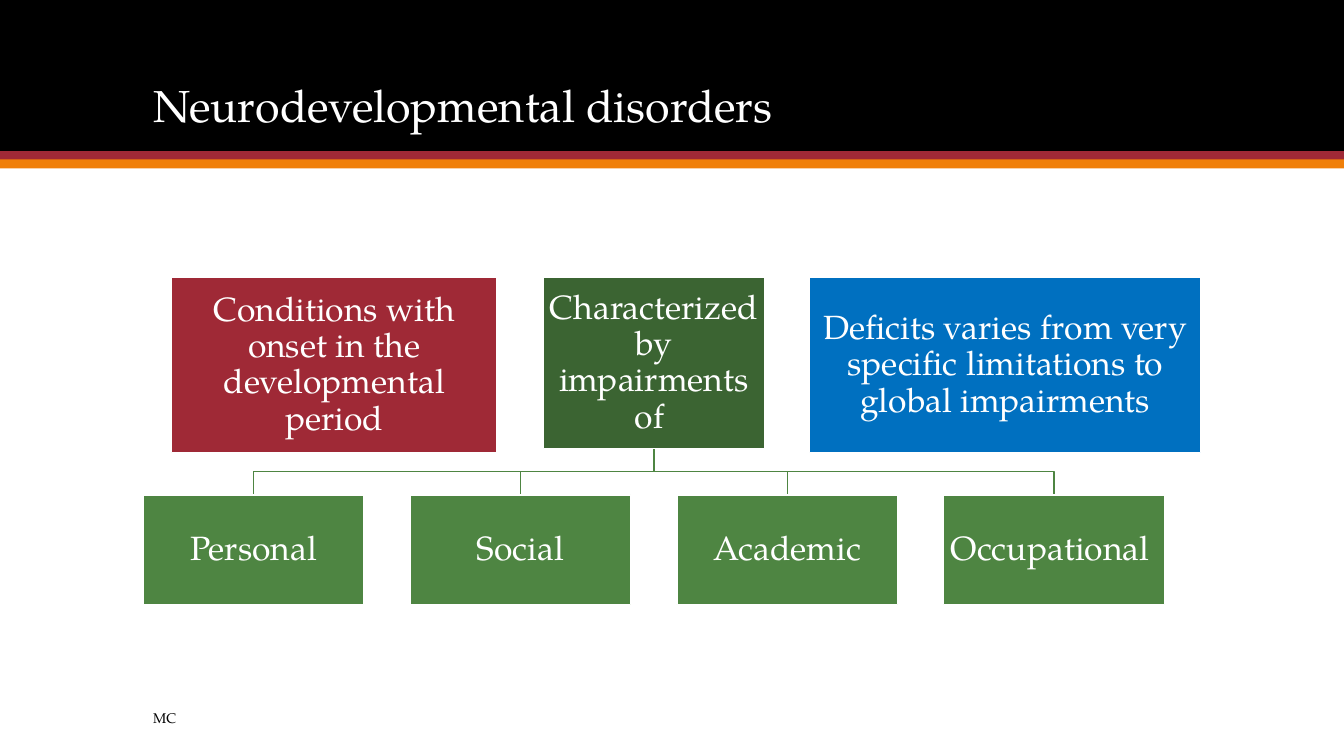
import pptx
import pptx.dml.color
import pptx.enum.shapes
import pptx.enum.text
import pptx.util

Inches = pptx.util.Inches
RGBColor = pptx.dml.color.RGBColor
RECTANGLE = pptx.enum.shapes.MSO_SHAPE.RECTANGLE
ANCHOR = pptx.enum.text.MSO_ANCHOR
ALIGN = pptx.enum.text.PP_ALIGN

BLACK = RGBColor(0x00, 0x00, 0x00)
WHITE = RGBColor(0xFF, 0xFF, 0xFF)
RED = RGBColor(0x9F, 0x29, 0x36)
ORANGE = RGBColor(0xF0, 0x7F, 0x09)
DARK_GREEN = RGBColor(0x3B, 0x64, 0x32)
GREEN = RGBColor(0x4E, 0x85, 0x42)
BLUE = RGBColor(0x00, 0x70, 0xC0)
FONT = "TeX Gyre Pagella"


def apply_format(target, values):
    """Set each named attribute on the target."""
    for name, value in values.items():
        setattr(target, name, value)


def write_text(shape, text, size, color, anchor, alignment, spacing, inset):
    """Write one formatted paragraph into a shape."""
    frame = shape.text_frame
    margins = ("margin_left", "margin_top", "margin_right", "margin_bottom")
    apply_format(frame, dict.fromkeys(margins, Inches(inset)))
    apply_format(frame, {"word_wrap": True, "vertical_anchor": anchor,
                         "auto_size": pptx.enum.text.MSO_AUTO_SIZE.NONE})
    para = frame.paragraphs[0]
    apply_format(para, {"alignment": alignment, "line_spacing": spacing})
    span = para.add_run()
    span.text = text
    apply_format(span.font, {"name": FONT, "size": pptx.util.Pt(size)})
    span.font.color.rgb = color


def add_block(page, box, fill):
    """Add a plain filled rectangle without an outline."""
    block = page.shapes.add_shape(RECTANGLE, *map(Inches, box))
    block.shadow.inherit = False
    block.fill.solid()
    block.fill.fore_color.rgb = fill
    block.line.fill.background()
    return block


def add_header(page, box, text):
    """Place the header bands and the title over them."""
    left, top, width, height = box
    add_block(page, box, BLACK)
    for step, color in enumerate((RED, ORANGE)):
        add_block(page, (left, top + height + 0.08 * step, width, 0.09), color)
    title = page.shapes.title
    places = (left + 1.42, top + 0.28, 10.5, 1.13)
    apply_format(title, dict(zip(("left", "top", "width", "height"), map(Inches, places))))
    write_text(title, text, 32, WHITE, ANCHOR.BOTTOM, ALIGN.LEFT, 0.9, 0.1)
    page.shapes._spTree.append(title._element)


def add_card(page, box, text, fill):
    """Add a white-edged card with centred text."""
    card = add_block(page, box, fill)
    card.line.color.rgb = WHITE
    card.line.width = pptx.util.Pt(1)
    write_text(card, text, 24, WHITE, ANCHOR.MIDDLE, ALIGN.CENTER, 0.9, 0.02)


def add_branch(page, start, end):
    """Draw a stepped line from a parent card down to a child card."""
    (start_x, start_y), (end_x, end_y) = start, end
    middle = (start_y + end_y) / 2
    builder = page.shapes.build_freeform(Inches(start_x), Inches(start_y))
    corners = ((start_x, middle), (end_x, middle), end)
    builder.add_line_segments([(Inches(x), Inches(y)) for x, y in corners], close=False)
    branch = builder.convert_to_shape()
    branch.shadow.inherit = False
    branch.fill.background()
    branch.line.color.rgb = GREEN
    branch.line.width = pptx.util.Pt(1)


def add_diagram(page, box):
    """Place the three statements and the four impairment areas."""
    left, top, width, height = box
    card_width, child_height = 2.19, 1.09
    parent = (left + 3.97, top, card_width, 1.7)
    child_top = top + height - child_height
    areas = ("Personal", "Social", "Academic", "Occupational ")
    pitch = (width - card_width) / (len(areas) - 1)
    children = [(left + pitch * index, child_top, card_width, child_height)
                for index in range(len(areas))]
    start = (parent[0] + card_width / 2, top + parent[3])
    for child in reversed(children):
        add_branch(page, start, (child[0] + card_width / 2, child_top))
    add_card(page, (left + 0.28, top, 3.23, 1.74),
             "Conditions with onset in the developmental period", RED)
    add_card(page, parent, "Characterized by impairments of ", DARK_GREEN)
    for child, area in zip(children, areas):
        add_card(page, child, area, GREEN)
    add_card(page, (left + 6.61, top, 3.88, 1.74),
             "Deficits varies from very specific limitations to global impairments", BLUE)


def add_footer(page, box, text):
    """Place the small footer text."""
    footer = page.shapes.add_textbox(*map(Inches, box))
    write_text(footer, text, 10, BLACK, ANCHOR.MIDDLE, ALIGN.LEFT, 1.0, 0.1)


def main():
    """Build the deck and save it."""
    deck = pptx.Presentation()
    apply_format(deck, {"slide_width": Inches(13.33), "slide_height": Inches(7.5)})
    page = deck.slides.add_slide(deck.slide_layouts[5])
    add_header(page, (0, 0, 13.33, 1.5), "Neurodevelopmental disorders")
    add_diagram(page, (1.42, 2.75, 10.13, 3.25))
    add_footer(page, (1.42, 6.97, 6.83, 0.3), "MC")
    deck.save("out.pptx")


if __name__ == "__main__":
    main()
